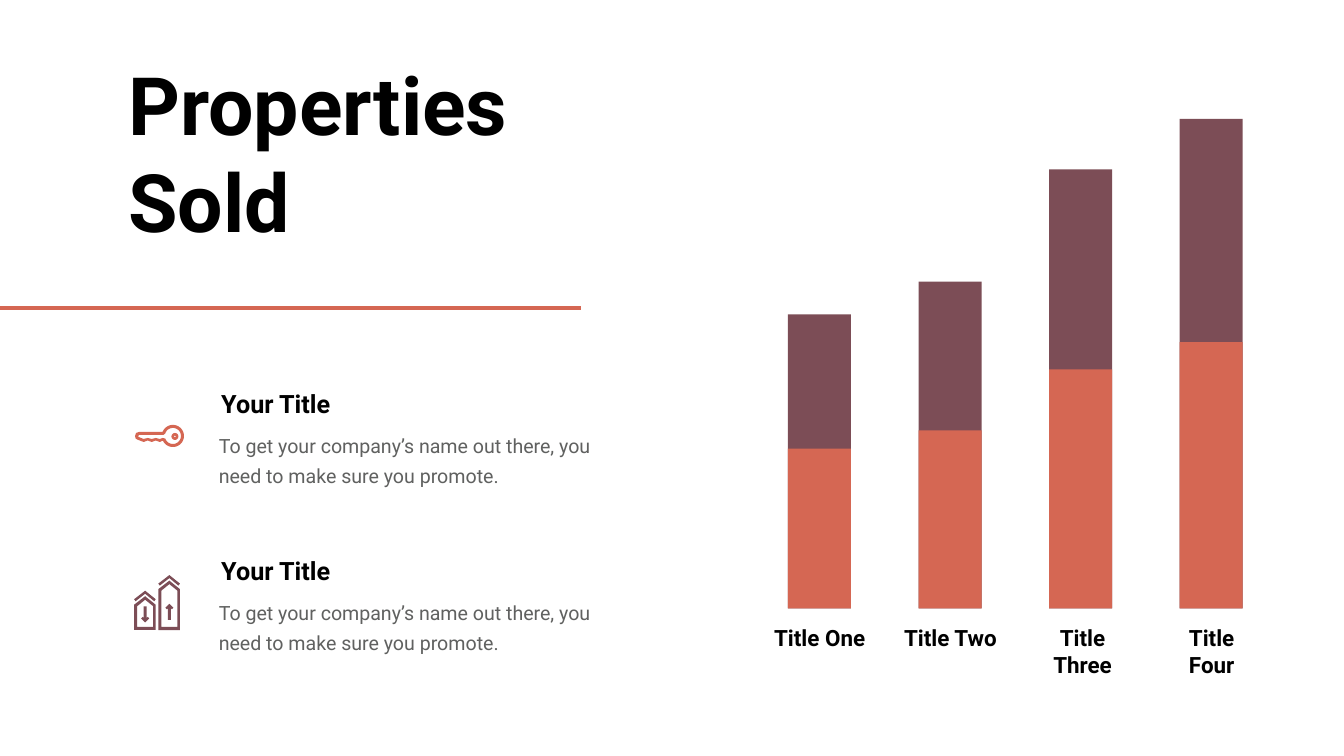
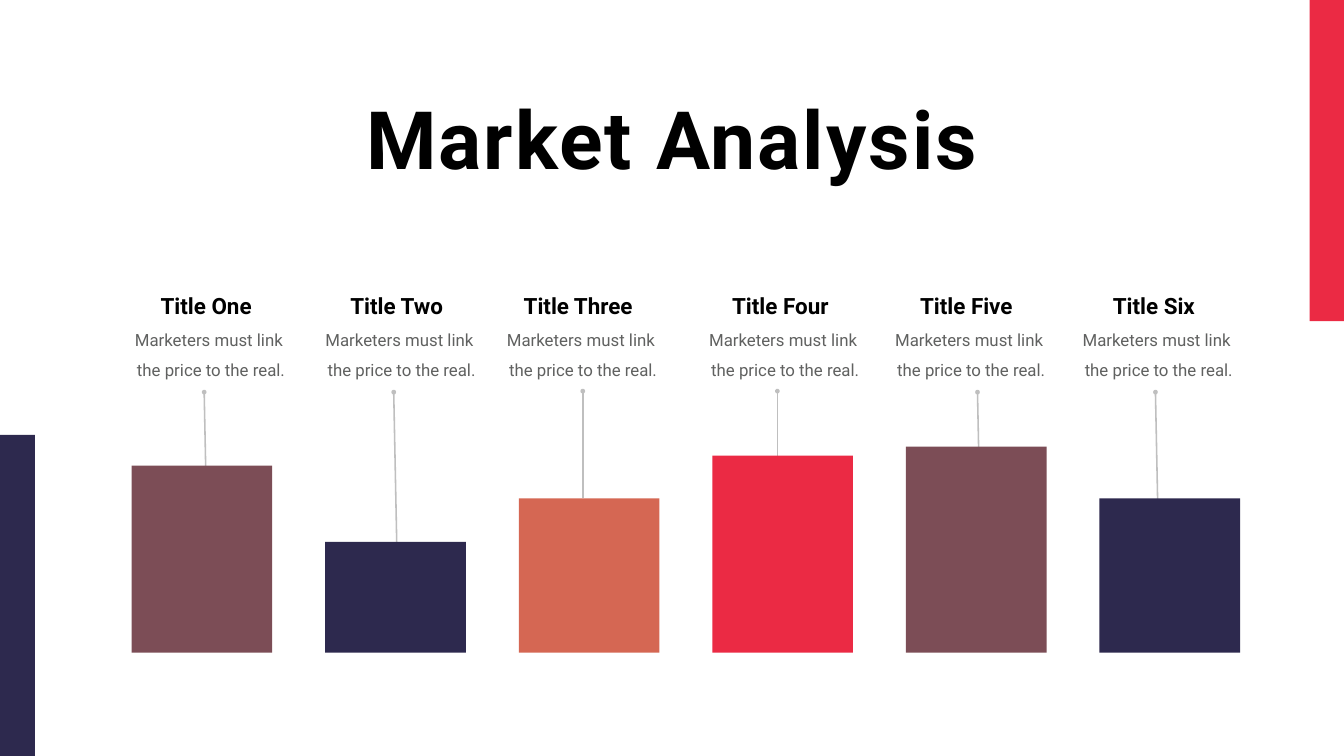
from dataclasses import dataclass
from math import cos, radians, sin

from lxml import etree
from pptx import Presentation
from pptx.dml.color import RGBColor
from pptx.enum.shapes import MSO_CONNECTOR, MSO_SHAPE
from pptx.enum.text import MSO_AUTO_SIZE, PP_ALIGN
from pptx.oxml.ns import qn
from pptx.util import Inches, Pt

RECT = MSO_SHAPE.RECTANGLE
DONUT = MSO_SHAPE.DONUT
LINE = MSO_CONNECTOR.STRAIGHT
LEFT = PP_ALIGN.LEFT
MID = PP_ALIGN.CENTER
GROW = MSO_AUTO_SIZE.SHAPE_TO_FIT_TEXT


@dataclass(frozen=True)
class Theme:
    font: str = "Roboto"
    white: str = "FFFFFF"
    black: str = "000000"
    grey: str = "606160"
    pale: str = "BFBFBF"
    plum: str = "7C4D56"
    coral: str = "D56753"
    navy: str = "2D294E"
    red: str = "EB2A44"
    title: int = 115
    head: int = 36
    label: int = 32
    body: int = 28
    small: int = 24
    lead: int = 43


def arc(x, y, size, start, end, step=12):
    turn = step if end > start else -step
    angles = [radians(a) for a in (*range(start, end, turn), end)]
    return [(x + size * cos(a), y + size * sin(a)) for a in angles]


class Deck:
    def __init__(self, theme, wide, high):
        self.theme = theme
        self.show = Presentation()
        self.show.slide_width = Inches(wide)
        self.show.slide_height = Inches(high)
        self.slide = None

    def page(self):
        self.slide = self.show.slides.add_slide(self.show.slide_layouts[6])
        fill = self.slide.background.fill
        fill.solid()
        fill.fore_color.rgb = RGBColor.from_string(self.theme.white)

    def paint(self, shape, color):
        shape.shadow.inherit = False
        shape.fill.solid()
        shape.fill.fore_color.rgb = RGBColor.from_string(color)
        shape.line.fill.background()

    def shape(self, kind, box, color):
        item = self.slide.shapes.add_shape(kind, *map(Inches, box))
        self.paint(item, color)
        return item

    def outline(self, color, *loops):
        loops = [[(Inches(x), Inches(y)) for x, y in loop] for loop in loops]
        pen = self.slide.shapes.build_freeform(*loops[0][0], scale=1.0)
        for spot, loop in enumerate(loops):
            if spot:
                pen.move_to(*loop[0])
            pen.add_line_segments(loop[1:], close=True)
        self.paint(pen.convert_to_shape(), color)

    def line(self, start, end, color, width, tip=None):
        item = self.slide.shapes.add_connector(
            LINE, *map(Inches, (*start, *end)))
        item.line.color.rgb = RGBColor.from_string(color)
        item.line.width = Pt(width)
        if tip:
            etree.SubElement(item.line._get_or_add_ln(),
                             qn("a:tailEnd"), type=tip)
        etree.SubElement(item._element.spPr, qn("a:effectLst"))

    def text(self, box, lines, size, color, bold=False, align=LEFT,
             lead=None, pad=(0.1, 0.05), track=None):
        frame = self.slide.shapes.add_textbox(*map(Inches, box)).text_frame
        frame.word_wrap = True
        frame.auto_size = GROW
        frame.margin_left = frame.margin_right = Inches(pad[0])
        frame.margin_top = frame.margin_bottom = Inches(pad[1])
        for spot, line in enumerate(lines):
            para = frame.add_paragraph() if spot else frame.paragraphs[0]
            para.alignment = align
            if lead:
                para.line_spacing = Pt(lead)
            run = para.add_run()
            run.text = line
            run.font.name = self.theme.font
            run.font.size = Pt(size)
            run.font.bold = bold
            run.font.color.rgb = RGBColor.from_string(color)
            if track:
                run._r.get_or_add_rPr().set("spc", str(track * 100))

    def title(self, box, lines, align=LEFT, track=None):
        self.text(box, lines, self.theme.title, self.theme.black, True,
                  align, track=track)

    def label(self, box, words):
        self.text(box, [words], self.theme.label, self.theme.black, True, MID)

    def note(self, top):
        look = self.theme
        self.text((4.1, top + 0.7, 8.2, 1.39),
                  ["To get your company’s name out there, "
                   "you need to make sure you promote."],
                  look.body, look.grey, lead=look.lead, pad=(0.24, 0.12))
        self.text((4.29, top, 4.81, 0.71), ["Your Title"],
                  look.head, look.black, True)

    def key(self, x, y, color):
        teeth = [(2.85, 0.12), (2.93, 0.09), (3.01, 0.12), (3.09, 0.09),
                 (3.17, 0.12)]
        notch = [(3.23, 0.04), (3.17, 0.06), (3.09, 0.04), (3.01, 0.06),
                 (2.93, 0.04), (2.85, 0.06), (2.75, 0.02), (2.74, 0)]
        outer = [(2.68, y), (2.69, y + 0.05), (2.72, y + 0.07)]
        outer += [(a, y + b) for a, b in teeth]
        outer += arc(x, y, 0.22, 155, -158)
        outer += [(2.76, y - 0.08), (2.7, y - 0.06)]
        inner = [(2.76, y - 0.02), (3.24, y - 0.02)]
        inner += arc(x, y, 0.16, 196, 521)
        inner += [(a, y + b) for a, b in notch]
        self.outline(color, outer, inner)
        ring = self.shape(DONUT, (x - 0.03, y - 0.06, 0.14, 0.14), color)
        ring.adjustments[0] = 0.39

    def house(self, x, eave, base, tip, tail, color):
        mid = x + 0.22
        wall = [(x, base), (x, eave), (mid, eave - 0.17),
                (x + 0.43, eave), (x + 0.43, base)]
        hole = [(x + 0.06, base - 0.06), (x + 0.06, eave + 0.03),
                (mid, eave - 0.1), (x + 0.38, eave + 0.03),
                (x + 0.38, base - 0.06)]
        self.outline(color, wall, hole)
        top = eave - 0.28
        roof = [(0.22, 0), (0.43, 0.17), (0.4, 0.21), (0.22, 0.06),
                (0.03, 0.21), (0, 0.17)]
        self.outline(color, [(x + a, top + b) for a, b in roof])
        way = 1 if tip > tail else -1
        barb = [(0.03, 0.09), (0.05, 0.11), (0.08, 0.08)]
        self.outline(
            color,
            [(mid - 0.03, tail)]
            + [(mid - a, tip - way * b) for a, b in barb]
            + [(mid, tip)]
            + [(mid + a, tip - way * b) for a, b in reversed(barb)]
            + [(mid + 0.03, tail)])


def sold(deck):
    look = deck.theme
    deck.page()
    deck.title((2.45, 1.05, 8.31, 3.97), ["Properties", "Sold"])
    for top in (7.65, 10.97):
        deck.note(top)
    deck.house(3.14, 11.69, 12.5, 11.98, 12.3, look.plum)
    deck.house(2.66, 12, 12.5, 12.35, 12.03, look.plum)
    deck.key(3.43, 8.65, look.coral)

    base = 12.07
    bars = [("One", 6.24, 8.9, 15.25, 2.02), ("Two", 5.59, 8.54, 17.83, 2.05),
            ("Three", 3.36, 7.33, 20.31, 2.33),
            ("Four", 2.36, 6.79, 22.99, 2.09)]
    for spot, (word, top, split, left, wide) in enumerate(bars):
        x = 15.63 + 2.59 * spot
        for y, color in ((top, look.plum), (split, look.coral)):
            deck.shape(RECT, (x, y, 1.25, base - y), color)
        deck.label((left, 12.34, wide, 0.64), f"Title {word}")
    deck.line((11.52, 6.11), (0, 6.11), look.coral, 6)


def market(deck):
    look = deck.theme
    deck.page()
    deck.title((7.12, 1.71, 12.42, 2.04), ["Market Analysis"], MID, 3)
    base = 12.95
    cols = [("One", 2.66, 4.05, 0.03, 9.26, 9.24, look.plum),
            ("Two", 6.44, 7.81, 0.06, 10.77, 10.75, look.navy),
            ("Three", 10.04, 11.56, 0, 9.89, 9.89, look.coral),
            ("Four", 14.05, 15.42, 0, 9.04, 9.04, look.red),
            ("Five", 17.74, 19.39, 0.03, 9.26, 8.86, look.plum),
            ("Six", 21.46, 22.92, 0.06, 10.77, 9.89, look.navy)]
    for spot, (word, left, pin, lean, foot, top, color) in enumerate(cols):
        deck.line((pin + lean, foot), (pin, 7.78 if lean else 7.76),
                  look.pale, 2.25, "oval")
        deck.shape(RECT, (2.61 + 3.84 * spot, top, 2.79, base - top), color)
        deck.label((left, 5.75, 2.86, 0.64), f"Title {word}")
        deck.text((left - 0.51, 6.3, 4.07, 1.25),
                  ["Marketers must link ", "the price to the real."],
                  look.small, look.grey, align=MID, lead=look.lead)
    for x, y, color in ((-0.01, 8.63, look.navy), (25.98, 0, look.red)):
        deck.shape(RECT, (x, y, 0.7, 6.37), color)


def main():
    deck = Deck(Theme(), 26.66, 15)
    sold(deck)
    market(deck)
    deck.show.save("out.pptx")


if __name__ == "__main__":
    main()
